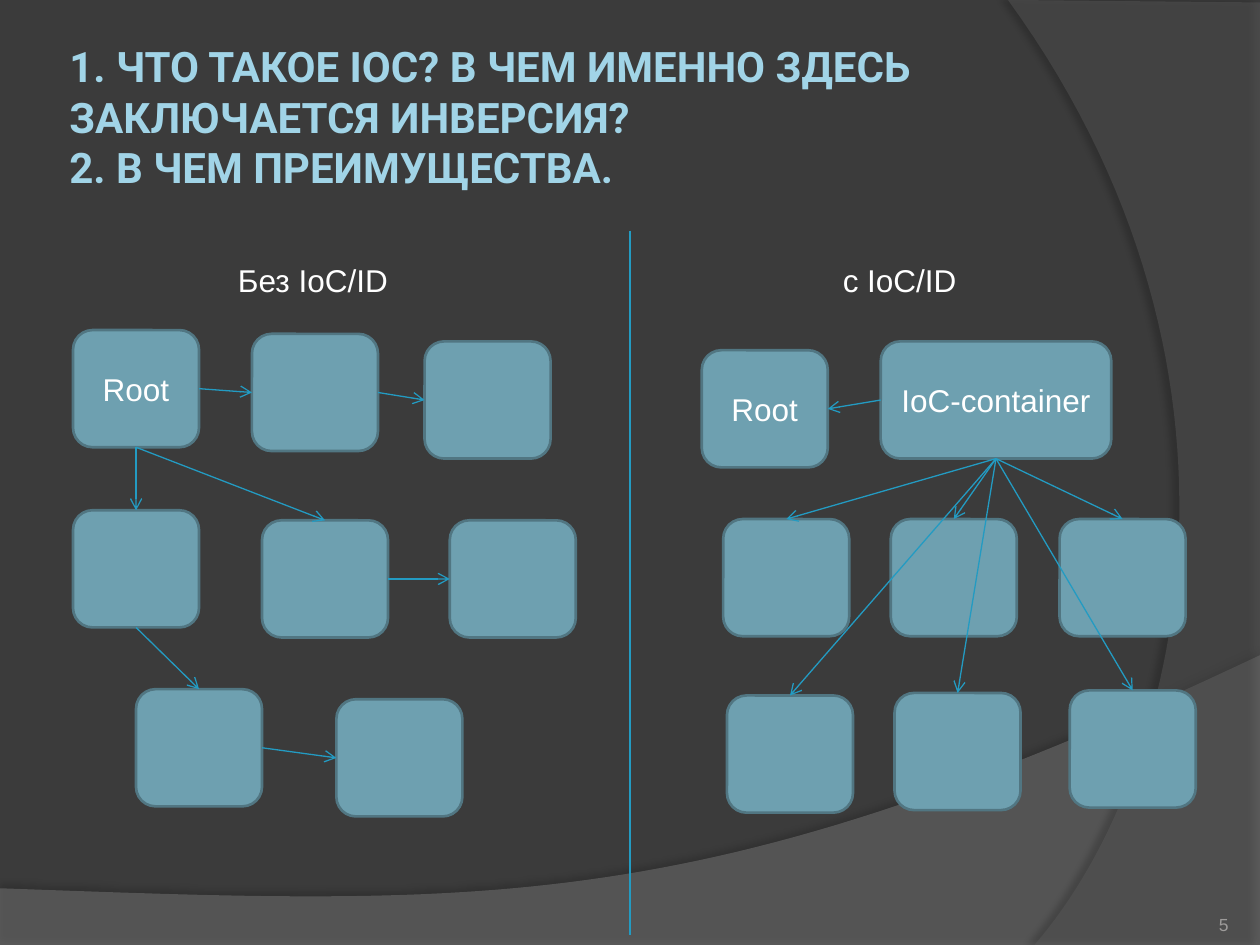
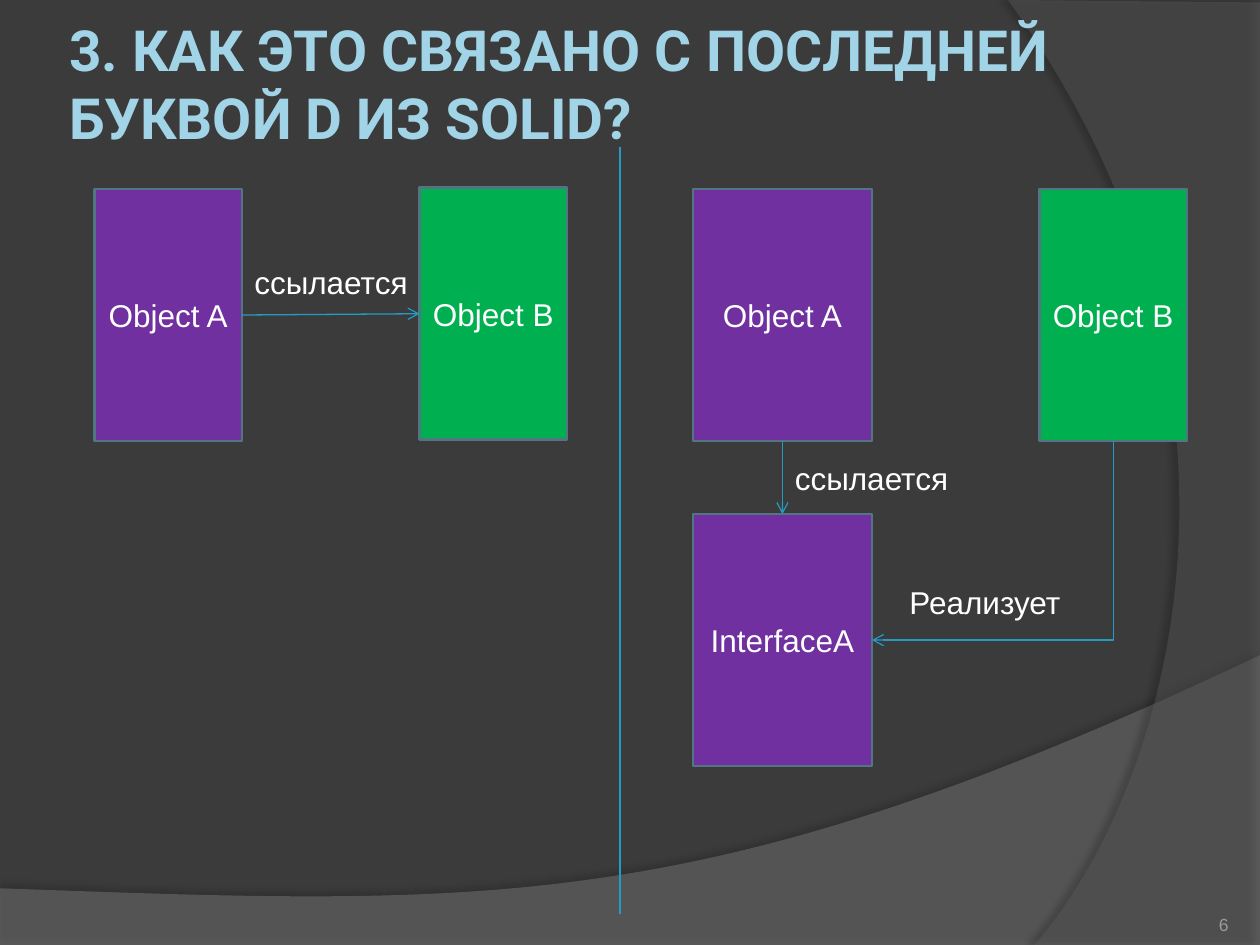
from lxml import etree
from pptx import Presentation
from pptx.dml.color import RGBColor
from pptx.enum.shapes import MSO_CONNECTOR, MSO_SHAPE
from pptx.enum.text import MSO_ANCHOR, MSO_AUTO_SIZE, PP_ALIGN
from pptx.oxml.ns import qn
from pptx.util import Inches, Pt

STRAIGHT, ELBOW = MSO_CONNECTOR.STRAIGHT, MSO_CONNECTOR.ELBOW
RECTANGLE, ROUNDED = MSO_SHAPE.RECTANGLE, MSO_SHAPE.ROUNDED_RECTANGLE
TOP, MIDDLE, BOTTOM = MSO_ANCHOR.TOP, MSO_ANCHOR.MIDDLE, MSO_ANCHOR.BOTTOM
LEFT, CENTER, RIGHT = PP_ALIGN.LEFT, PP_ALIGN.CENTER, PP_ALIGN.RIGHT
NO_FIT, GROW = MSO_AUTO_SIZE.NONE, MSO_AUTO_SIZE.SHAPE_TO_FIT_TEXT

# Connection sites of a rectangle
SITE_TOP, SITE_LEFT, SITE_BOTTOM, SITE_RIGHT = range(4)

BACKGROUND = "3B3B3B"
TITLE_COLOR = "A1D4E7"
TEXT_COLOR = "FFFFFF"
NUMBER_COLOR = "9D9B9A"
TEAL, TEAL_EDGE = "6EA0B0", "517682"
LINE_COLOR = "239BC2"
PURPLE, GREEN = "7030A0", "00B050"
BODY_FONT, TITLE_FONT = "Arial", "Roboto"

CURVE_STEPS = 60
BOX_WIDTH, BOX_HEIGHT = 1, 0.93


def color(value):
    """Return the colour for a hex string."""
    return RGBColor.from_string(value)


def format_text(frame, size, text_color, align=LEFT, font=BODY_FONT, bold=False):
    """Give every paragraph of a frame one font and alignment."""
    for paragraph in frame.paragraphs:
        paragraph.alignment = align
        paragraph.font.name = font
        paragraph.font.size = Pt(size)
        paragraph.font.bold = bold
        paragraph.font.color.rgb = color(text_color)


def set_insets(frame, inset):
    """Use one inset on all four sides of a frame."""
    frame.margin_left = frame.margin_right = Inches(inset)
    frame.margin_top = frame.margin_bottom = Inches(inset)


def curve(start, control1, control2, end):
    """Return points along a cubic Bezier curve."""
    points = []
    for step in range(CURVE_STEPS + 1):
        t = step / CURVE_STEPS
        weights = ((1 - t) ** 3, 3 * t * (1 - t) ** 2, 3 * t * t * (1 - t), t ** 3)
        corners = (start, control1, control2, end)
        points.append(tuple(sum(weight * corner[axis] for weight, corner in zip(weights, corners))
                            for axis in (0, 1)))
    return points


def add_band(slide, points, fill, opacity, shadow_opacity, distance, direction):
    """Draw a translucent background band with a soft shadow."""
    start, *others = [(Inches(x), Inches(y)) for x, y in points]
    builder = slide.shapes.build_freeform(*start, scale=1.0)
    builder.add_line_segments(others, close=True)
    band = builder.convert_to_shape()
    band.fill.solid()
    band.fill.fore_color.rgb = color(fill)
    band.line.fill.background()
    band.shadow.inherit = False
    fill_color = band.element.spPr.find(qn("a:solidFill")).find(qn("a:srgbClr"))
    etree.SubElement(fill_color, qn("a:alpha"), val=str(opacity * 1000))
    effects = band.element.spPr.find(qn("a:effectLst"))
    shadow = etree.SubElement(effects, qn("a:outerShdw"), blurRad=str(Pt(4)),
                              dist=str(Pt(distance)), dir=str(direction * 60000),
                              algn="ctr", rotWithShape="0")
    shadow_color = etree.SubElement(shadow, qn("a:srgbClr"), val="000000")
    etree.SubElement(shadow_color, qn("a:alpha"), val=str(shadow_opacity * 1000))


def add_text(slide, text, left, top, width):
    """Add a white caption."""
    box = slide.shapes.add_textbox(Inches(left), Inches(top), Inches(width), Inches(0.4))
    frame = box.text_frame
    frame.text = text
    frame.word_wrap = True
    frame.auto_size = GROW
    format_text(frame, 18, TEXT_COLOR)


def add_number(slide, number):
    """Add the slide number at the lower right."""
    box = slide.shapes.add_textbox(Inches(8.92), Inches(7.02), Inches(0.83), Inches(0.4))
    frame = box.text_frame
    frame.text = str(number)
    frame.word_wrap = True
    frame.vertical_anchor = BOTTOM
    set_insets(frame, 0)
    format_text(frame, 10, NUMBER_COLOR, RIGHT)


def add_slide(presentation, title, number, top, height, size, anchor):
    """Add a slide with the shared bands, title style and number."""
    slide = presentation.slides.add_slide(presentation.slide_layouts[5])
    add_band(slide, [(0, 7.51), (10, 7.51)]
             + curve((10, 5.2), (5.59, 7.29), (3.91, 7.19), (0, 7.05)),
             "7F7F7F", 45, 35, 3.5, 270)
    add_band(slide, [(10, 0.02), (10, 7.5)]
             + curve((8.21, 7.5), (9.35, 6.19), (10.18, 3), (8, 0)),
             "5E5E5E", 40, 45, 4, 180)
    placeholder = slide.shapes.title
    slide.shapes.element.append(placeholder.element)  # title above the bands
    placeholder.left, placeholder.top = Inches(0.5), Inches(top)
    placeholder.width, placeholder.height = Inches(8.17), Inches(height)
    frame = placeholder.text_frame
    frame.text = title
    frame.word_wrap = True
    frame.auto_size = NO_FIT
    frame.vertical_anchor = anchor
    set_insets(frame, 0.05)
    format_text(frame, size, TITLE_COLOR, font=TITLE_FONT, bold=True)
    add_number(slide, number)
    return slide


def add_box(slide, kind, left, top, width, height, fill, text=""):
    """Add an outlined box with an optional centred label."""
    box = slide.shapes.add_shape(kind, Inches(left), Inches(top), Inches(width), Inches(height))
    box.shadow.inherit = False
    box.fill.solid()
    box.fill.fore_color.rgb = color(fill)
    box.line.color.rgb = color(TEAL_EDGE)
    box.line.width = Pt(1.5)
    if text:
        box.text_frame.text = text
        box.text_frame.vertical_anchor = MIDDLE
        format_text(box.text_frame, 18, TEXT_COLOR, CENTER)
    return box


def add_node(slide, left, top, text="", width=BOX_WIDTH):
    """Add a rounded teal node of the object graph."""
    return add_box(slide, ROUNDED, left, top, width, BOX_HEIGHT, TEAL, text)


def style_line(connector):
    """Give a connector the shared thin blue line without a shadow."""
    connector.line.color.rgb = color(LINE_COLOR)
    connector.line.width = Pt(0.75)
    etree.SubElement(connector.element.spPr, qn("a:effectLst"))


def add_divider(slide, x, top, bottom):
    """Draw the vertical line between the two halves."""
    style_line(slide.shapes.add_connector(STRAIGHT, Inches(x), Inches(top),
                                          Inches(x), Inches(bottom)))


def add_arrow(slide, source, source_site, target, target_site, kind=STRAIGHT):
    """Glue an arrow between the sites of two boxes."""
    connector = slide.shapes.add_connector(kind, 0, 0, 0, 0)
    connector.begin_connect(source, source_site)
    connector.end_connect(target, target_site)
    style_line(connector)
    line = connector.element.spPr.find(qn("a:ln"))
    etree.SubElement(line, qn("a:tailEnd"), type="arrow")
    return connector


def add_corner_arrow(slide, source, target):
    """Run an arrow down from the source, then left into the target."""
    connector = add_arrow(slide, source, SITE_BOTTOM, target, SITE_RIGHT, ELBOW)
    properties = connector.element.spPr
    properties.find(qn("a:prstGeom")).set("prst", "bentConnector2")
    properties.find(qn("a:xfrm")).attrib.pop("flipH", None)
    # A quarter turn swaps width and height around the same centre
    width, height = connector.width, connector.height
    shift = (width - height) // 2
    connector.left, connector.top = connector.left + shift, connector.top - shift
    connector.width, connector.height = height, width
    connector.rotation = 90


def build_ioc_slide(presentation):
    """Compare object graphs without and with a container."""
    slide = add_slide(presentation,
                      "1. ЧТО ТАКОЕ IOC? В ЧЕМ ИМЕННО ЗДЕСЬ ЗАКЛЮЧАЕТСЯ ИНВЕРСИЯ?\v"
                      "2. В ЧЕМ ПРЕИМУЩЕСТВА.", 5, 0.3, 1.25, 24, MIDDLE)
    add_divider(slide, 5, 1.83, 7.42)
    add_text(slide, "Без IoC/ID", 1.79, 2.02, 1.49)
    add_text(slide, "с IoC/ID", 6.59, 2.02, 1.49)

    root = add_node(slide, 0.58, 2.62, "Root")
    first, second = add_node(slide, 2, 2.65), add_node(slide, 3.37, 2.71)
    below, middle = add_node(slide, 0.58, 4.05), add_node(slide, 2.08, 4.13)
    far = add_node(slide, 3.57, 4.13)
    lower, last = add_node(slide, 1.08, 5.47), add_node(slide, 2.67, 5.55)
    for source, target in ((root, first), (first, second), (middle, far), (lower, last)):
        add_arrow(slide, source, SITE_RIGHT, target, SITE_LEFT)
    for source, target in ((root, below), (root, middle), (below, lower)):
        add_arrow(slide, source, SITE_BOTTOM, target, SITE_TOP)

    client = add_node(slide, 5.57, 2.78, "Root")
    container = add_node(slide, 6.99, 2.71, "IoC-container", 1.83)
    services = [add_node(slide, left, top) for left, top in (
        (5.74, 4.12), (7.07, 4.12), (8.41, 4.12),
        (5.77, 5.52), (7.1, 5.5), (8.49, 5.48))]
    add_arrow(slide, container, SITE_LEFT, client, SITE_RIGHT)
    for service in services:
        add_arrow(slide, container, SITE_BOTTOM, service, SITE_TOP)


def build_solid_slide(presentation):
    """Show a direct dependency beside an inverted one."""
    slide = add_slide(presentation, "3. КАК ЭТО СВЯЗАНО С ПОСЛЕДНЕЙ БУКВОЙ D ИЗ SOLID?",
                      6, 0.07, 1.5, 32.4, TOP)
    add_divider(slide, 4.92, 1.17, 7.25)

    direct_a = add_box(slide, RECTANGLE, 0.75, 1.5, 1.17, 2, PURPLE, "Object A")
    direct_b = add_box(slide, RECTANGLE, 3.33, 1.49, 1.17, 2, GREEN, "Object B")
    add_arrow(slide, direct_a, SITE_RIGHT, direct_b, SITE_LEFT)
    add_text(slide, "ссылается", 1.92, 2.04, 1.5)

    object_a = add_box(slide, RECTANGLE, 5.5, 1.5, 1.42, 2, PURPLE, "Object A")
    object_b = add_box(slide, RECTANGLE, 8.25, 1.5, 1.17, 2, GREEN, "Object B")
    interface = add_box(slide, RECTANGLE, 5.5, 4.08, 1.42, 2, PURPLE, "InterfaceA")
    add_arrow(slide, object_a, SITE_BOTTOM, interface, SITE_TOP)
    add_corner_arrow(slide, object_b, interface)
    add_text(slide, "ссылается", 6.21, 3.59, 1.5)
    add_text(slide, "Реализует", 7.12, 4.58, 1.5)


def main():
    """Build and save the presentation."""
    presentation = Presentation()
    presentation.slide_width, presentation.slide_height = Inches(10), Inches(7.5)
    background = presentation.slide_master.background.fill
    background.solid()
    background.fore_color.rgb = color(BACKGROUND)
    build_ioc_slide(presentation)
    build_solid_slide(presentation)
    presentation.save("out.pptx")


main()
